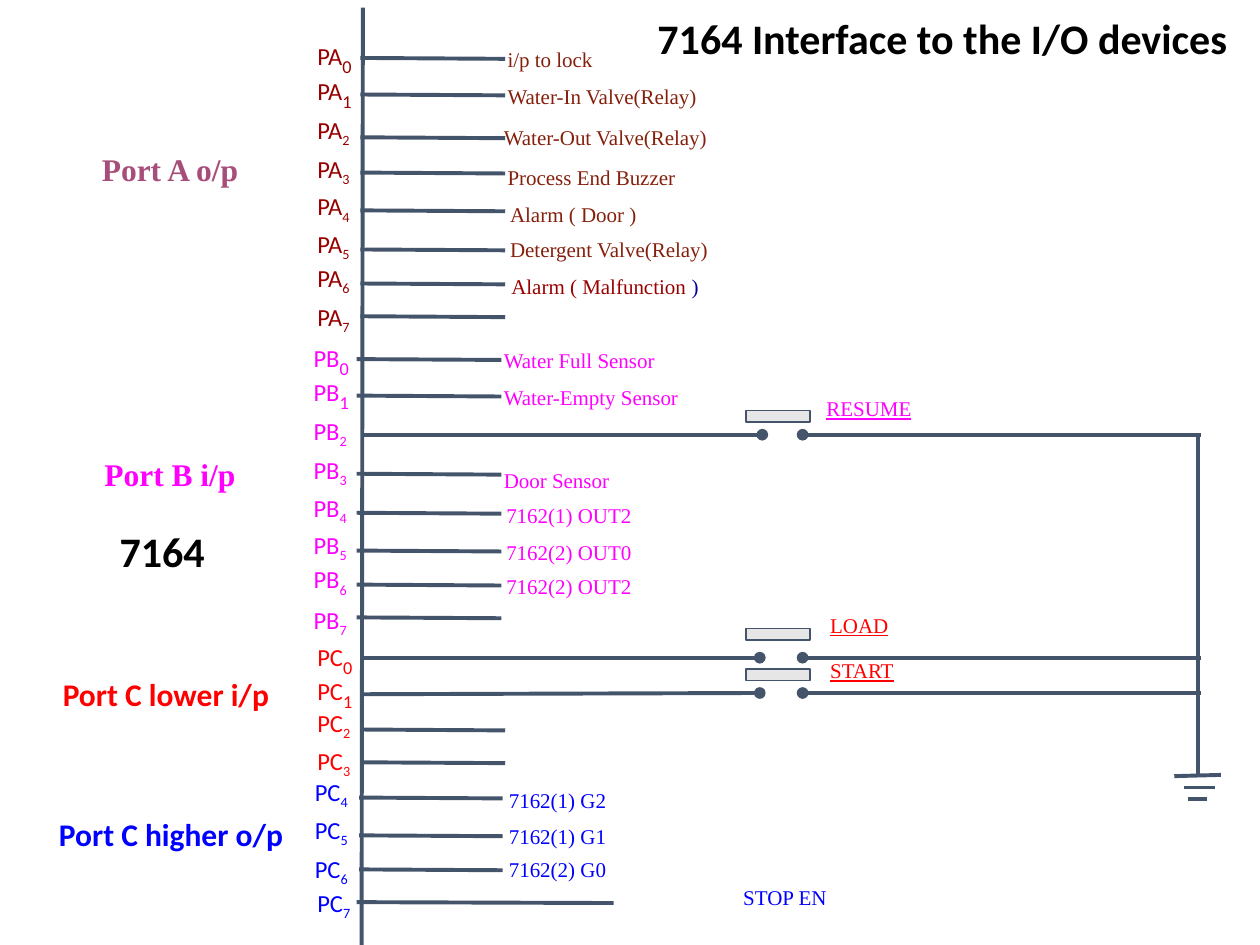
from pptx import Presentation
from pptx.dml.color import RGBColor
from pptx.enum.shapes import MSO_CONNECTOR, MSO_SHAPE
from pptx.oxml.ns import qn
from pptx.util import Inches, Pt
from lxml.etree import SubElement

STRAIGHT = MSO_CONNECTOR.STRAIGHT
RECT = MSO_SHAPE.RECTANGLE
SANS, SERIF = "Calibri", "Times New Roman"
INK, GREY, BLACK = "44546A", "E7E6E6", "000000"
MAROON, BROWN, PINK, RED, BLUE = "980000", "85200C", "FF00FF", "FF0000", "0000FF"


def tint(code):
    return RGBColor.from_string(code)


class Board:
    """Draws on one blank slide with a grid of 100 columns by 75 rows."""

    def __init__(self):
        self.deck = Presentation()
        self.deck.slide_width, self.deck.slide_height = Inches(10), Inches(7.5)
        self.col = self.deck.slide_width / 100
        self.row = self.deck.slide_height / 75
        self.slide = self.deck.slides.add_slide(self.deck.slide_layouts[6])

    def place(self, x, y, w, h):
        return [round(n) for n in (x * self.col, y * self.row, w * self.col, h * self.row)]

    def text(self, box, words, size, font, color, bold=False, line=False, pad=0.05):
        frame = self.slide.shapes.add_textbox(*self.place(*box)).text_frame
        frame.word_wrap = True
        frame.margin_left = frame.margin_right = Inches(0.1)
        frame.margin_top = frame.margin_bottom = Inches(pad)
        frame.text = words
        run = frame.paragraphs[0].runs[0]
        self.style(run, size, font, color, bold, line)
        return frame.paragraphs[0]

    def style(self, run, size, font, color, bold=False, line=False):
        run.font.size, run.font.name = Pt(size), font
        run.font.bold, run.font.underline = bold, line
        run.font.color.rgb = tint(color)

    def head(self, box, words, size, font, color):
        self.text(box, words, size, font, color, bold=True, pad=0.1)

    def pin(self, x, y, port, num, color):
        para = self.text((x, y, 5.9, 4.2), port, 14, SANS, color)
        sub = para.add_run()
        sub.text = str(num)
        self.style(sub, 18 if num < 2 else 14, SANS, color)
        sub.font._element.set("baseline", "-25000")

    def note(self, box, words, color, line=False):
        return self.text(box, words, 12, SERIF, color, line=line)

    def wire(self, x, y, right, low, dot=None):
        ends = self.place(x, y, right, low)
        link = self.slide.shapes.add_connector(STRAIGHT, *ends)
        link.line.color.rgb, link.line.width = tint(INK), Pt(2.25)
        if dot:
            SubElement(link.line._get_or_add_ln(), qn(f"a:{dot}"), type="oval")
        SubElement(link._element.spPr, qn("a:effectLst"))

    def button(self, x, y, w, h):
        shape = self.slide.shapes.add_shape(RECT, *self.place(x, y, w, h))
        shape.shadow.inherit = False
        shape.fill.solid()
        shape.fill.fore_color.rgb = tint(GREY)
        shape.line.color.rgb, shape.line.width = tint(INK), Pt(0.75)


HEADS = [
    ((51.2, 0, 51.3, 7.5), "7164 Interface to the I/O devices", 24, SANS, BLACK),
    ((7.1, 10.9, 16.1, 5.3), "Port A o/p", 18, SERIF, "A64D79"),
    ((7.3, 35.1, 16.1, 5.3), "Port B i/p", 18, SERIF, PINK),
    ((4, 52.6, 20.7, 5.3), "Port C lower i/p", 18, SANS, RED),
    ((3.7, 63.7, 21.4, 5.3), "Port C higher o/p", 18, SANS, BLUE),
    ((8.5, 40.7, 9.8, 7.5), "7164", 24, SANS, BLACK),
]

# port, colour, first pin, label column, wire column, wire length, label rows, wire rows
PORTS = [
    ("PA", MAROON, 0, 24.2, 28.6, 11.5, [2.2, 5, 8.6, 11.7, 14.7, 17.7, 20.4, 23.5],
     [4.6, 7.5, 10.9, 13.7, 16.7, 19.8, 22.5, 25.1]),
    ("PB", PINK, 0, 23.9, 28.3, 11.5, [26.2, 28.9, 32.5, 35.6, 38.6, 41.6, 44.3, 47.5],
     [28.5, 31.4, None, 37.6, 40.7, 43.7, 46.4, 49]),
    ("PC", RED, 0, 24.2, 28.6, 11.5, [49.9, 52.6, 55.7, 58.7], [None, None, 57.9, 60.5]),
    ("PC", BLUE, 4, 24, 28.5, 11.4, [61.2, 64.2, 67.3], [63.3, 66.3, 69]),
    ("PC", BLUE, 7, 24.2, 28.3, 20.4, [70], [71.6]),
]

NOTES = [
    ((39.3, 3.2, 10.6, 2.8), "i/p to lock", BROWN),
    ((39.3, 6.1, 21.4, 2.8), "Water-In Valve(Relay)", BROWN),
    ((39, 9.4, 21.9, 3.8), "Water-Out Valve(Relay)", BROWN),
    ((39.3, 12.6, 20, 2.6), "Process End Buzzer", BROWN),
    ((39.5, 15.5, 20.7, 2.6), "Alarm ( Door )", BROWN),
    ((39.5, 18.3, 20.7, 2.6), "Detergent Valve(Relay)", BROWN),
    ((39, 27.1, 14.8, 2.8), "Water Full Sensor", PINK),
    ((39, 30, 21.4, 2.8), "Water-Empty Sensor", PINK),
    ((39, 36.6, 20, 2.6), "Door Sensor", PINK),
    ((39.2, 39.4, 20.7, 2.6), "7162(1) OUT2", PINK),
    ((39.2, 42.3, 20.7, 2.6), "7162(2) OUT0", PINK),
    ((39.2, 45, 20.7, 2.6), "7162(2) OUT2", PINK),
    ((39.4, 62, 20.7, 2.6), "7162(1) G2", BLUE),
    ((39.4, 64.9, 20.7, 2.6), "7162(1) G1", BLUE),
    ((39.4, 67.5, 20.7, 2.6), "7162(2) G0", BLUE),
    ((58, 69.7, 21.1, 3.8), "STOP EN", BLUE),
]

# wire start, start row, contact column, contact row, button row, label box, label, colour
KEYS = [
    (28.8, 34.5, 60.5, 34.5, 32.6, (64.6, 30.9, 21.9, 3.8), "RESUME", PINK),
    (28.6, 52.2, 60.3, 52.2, 49.9, (64.9, 48.1, 10.6, 2.8), "LOAD", RED),
    (28.6, 55.1, 60.3, 55, 53.1, (64.9, 51.7, 21.4, 2.8), "START", RED),
]

GROUND = [(95.1, 34.5, 95.1, 61.6), (96.9, 61.5, 93.2, 61.6),
          (96.4, 62.5, 94, 62.5), (95.8, 63.4, 94.3, 63.4)]


def main():
    board = Board()
    for head in HEADS:
        board.head(*head)
    board.wire(28.8, 0.6, 28.7, 75.1)
    for port, color, first, left, start, span, tops, rows in PORTS:
        for num, (top, row) in enumerate(zip(tops, rows), first):
            board.pin(left, top, port, num, color)
            if row is not None:
                board.wire(start, row, start + span, row + 0.07)
    for note in NOTES:
        board.note(*note)
    fault = board.note((39.6, 21.2, 20.7, 2.6), "Alarm ( Malfunction ", "990000")
    close = fault.add_run()
    close.text = ")"
    board.style(close, 12, SERIF, "000099")
    for start, row, end, low, top, box, words, color in KEYS:
        board.wire(start, row, end, low, "tailEnd")
        board.wire(63.7, low, 95.3, low, "headEnd")
        board.button(59.2, top, 5.1, 0.9)
        board.note(box, words, color, line=True)
    for part in GROUND:
        board.wire(*part)
    board.deck.save("out.pptx")


if __name__ == "__main__":
    main()
